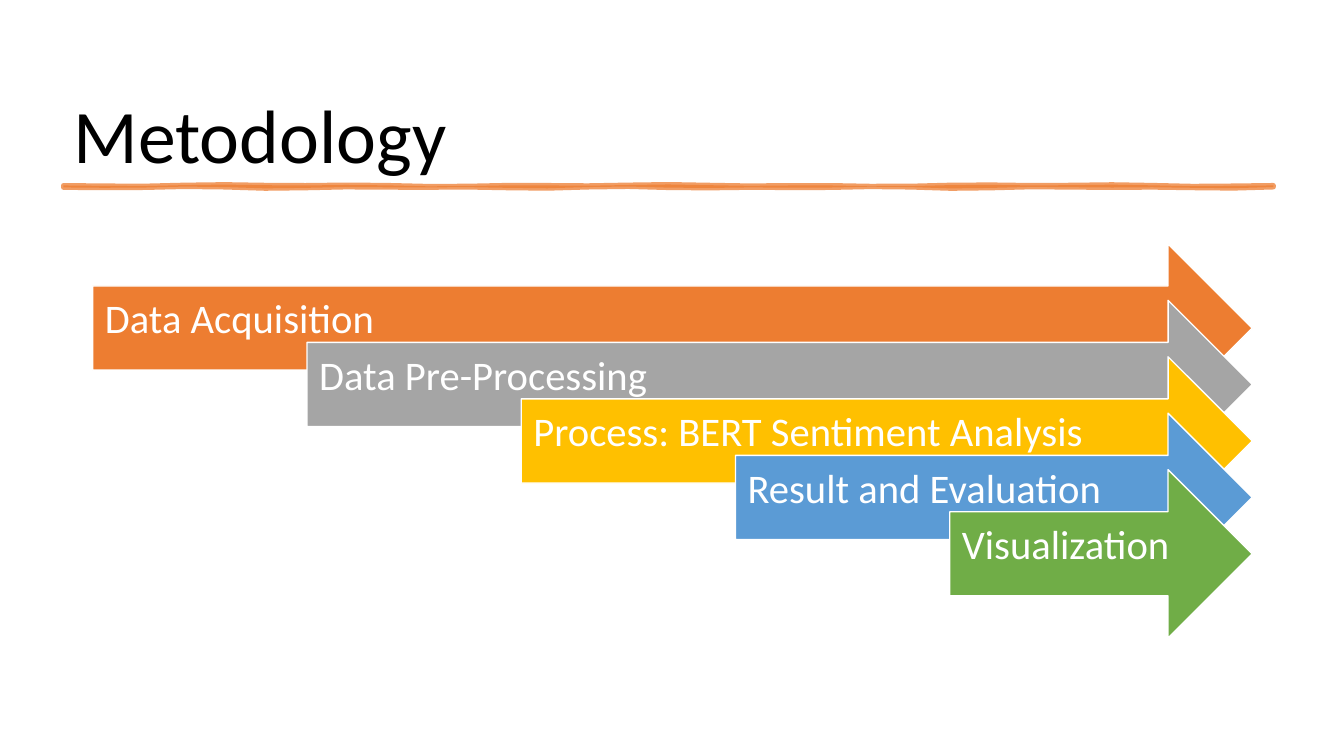
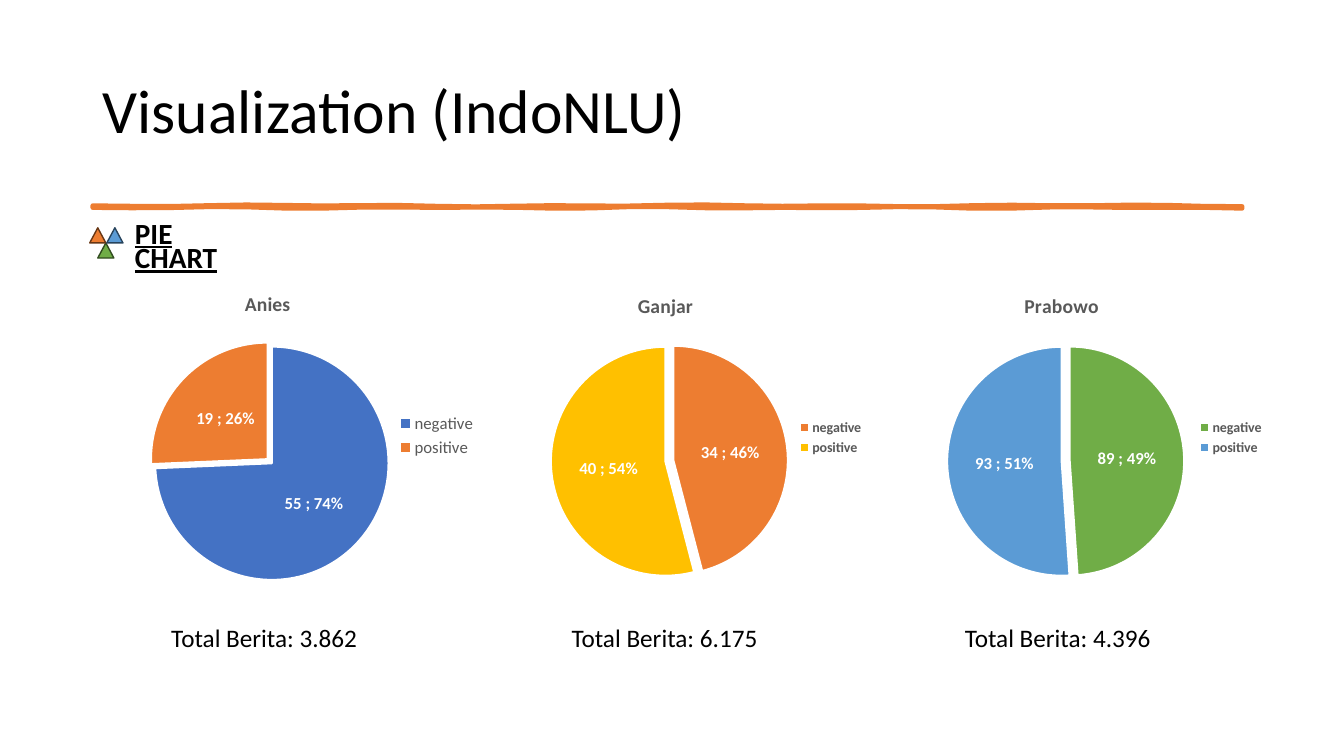
from math import sin

from lxml import etree
from pptx import Presentation
from pptx.chart.data import CategoryChartData
from pptx.dml.color import RGBColor
from pptx.enum.chart import XL_CHART_TYPE, XL_LABEL_POSITION, XL_LEGEND_POSITION
from pptx.enum.shapes import MSO_SHAPE
from pptx.enum.text import MSO_ANCHOR, MSO_AUTO_SIZE, PP_ALIGN
from pptx.oxml.ns import qn
from pptx.util import Inches, Pt

PIE = XL_CHART_TYPE.PIE
CENTER = XL_LABEL_POSITION.CENTER
LEGEND_RIGHT = XL_LEGEND_POSITION.RIGHT
RIGHT_ARROW = MSO_SHAPE.RIGHT_ARROW
TRIANGLE = MSO_SHAPE.ISOSCELES_TRIANGLE
MIDDLE, BOTTOM, TOP = MSO_ANCHOR.MIDDLE, MSO_ANCHOR.BOTTOM, MSO_ANCHOR.TOP
LEFT = PP_ALIGN.LEFT
NO_AUTOFIT = MSO_AUTO_SIZE.NONE

FONT = "Calibri"
BLACK, WHITE, GREY_TEXT = "000000", "FFFFFF", "595959"
ORANGE, GREY, GOLD = "ED7D31", "A5A5A5", "FFC000"
BLUE, GREEN, NAVY = "5B9BD5", "70AD47", "4472C4"
TITLE_ONLY = 5


def rgb(value):
    """Turn a hex string into a colour."""
    return RGBColor.from_string(value)


def style_font(font, size, color, bold=False):
    """Set the face, size, colour and weight of a font."""
    font.name = FONT
    font.size = Pt(size)
    font.bold = bold
    font.color.rgb = rgb(color)


def paint(shape, fill, line, width):
    """Give a shape a flat fill and outline."""
    shape.shadow.inherit = False
    shape.fill.solid()
    shape.fill.fore_color.rgb = rgb(fill)
    shape.line.color.rgb = rgb(line)
    shape.line.width = Pt(width)


def write(shape, text, size, color, anchor=TOP, spacing=1.0, bold=False):
    """Write one left-aligned run into a shape and return it."""
    frame = shape.text_frame
    frame.word_wrap = True
    frame.auto_size = NO_AUTOFIT
    frame.vertical_anchor = anchor
    paragraph = frame.paragraphs[0]
    paragraph.alignment = LEFT
    paragraph.line_spacing = spacing
    run = paragraph.add_run()
    run.text = text
    style_font(run.font, size, color, bold)
    return run


def add_text(slide, box, text, size, **options):
    """Add a text box and return its run."""
    textbox = slide.shapes.add_textbox(*map(Inches, box))
    return write(textbox, text, size, BLACK, **options)


def add_titled_slide(presentation, title, box, size, anchor):
    """Add a slide with its title placeholder placed and styled."""
    slide = presentation.slides.add_slide(presentation.slide_layouts[TITLE_ONLY])
    placeholder = slide.shapes.title
    placeholder.left, placeholder.top, placeholder.width, placeholder.height = map(Inches, box)
    write(placeholder, title, size, BLACK, anchor, 0.9)
    return slide


def add_brush_rule(slide, left, top, width, line_width, opacity=100):
    """Draw a hand-brushed horizontal rule."""
    steps = 30
    offsets = [width * step / steps for step in range(steps + 1)]
    upper = [(left + x, top + 0.01 * sin(2.9 * x) * sin(1.3 * x)) for x in offsets]
    lower = [(left + x, top + 0.02 + 0.01 * sin(3.7 * x) * sin(0.9 * x)) for x in offsets]
    outline = [(Inches(x), Inches(y)) for x, y in upper + lower[::-1]]
    builder = slide.shapes.build_freeform(*outline[0])
    builder.add_line_segments(outline[1:], close=True)
    rule = builder.convert_to_shape()
    paint(rule, ORANGE, ORANGE, line_width)
    etree.SubElement(rule.line.fill._xPr, qn("a:round"))
    if opacity < 100:
        for color in rule.element.spPr.iter(qn("a:srgbClr")):
            etree.SubElement(color, qn("a:alpha"), val=str(opacity * 1000))


def add_arrow_cascade(slide, left, top, width, steps):
    """Stack arrows that start further right and share one right end."""
    indent, drop, height = 2.125, 0.56, 1.67
    for index, (label, color) in enumerate(steps):
        shift = index * indent
        box = (left + shift, top + index * drop, width - shift, height)
        arrow = slide.shapes.add_shape(RIGHT_ARROW, *map(Inches, box))
        paint(arrow, color, WHITE, 1)
        frame = arrow.text_frame
        frame.margin_left = frame.margin_top = Inches(0.12)
        frame.margin_right, frame.margin_bottom = Inches(0.28), Inches(0.27)
        write(arrow, label, 29, WHITE, MIDDLE, 0.9)


def add_section_label(slide, left, top, text):
    """Add a three-triangle marker with an underlined label."""
    triangles = [
        (0.08, 0.15, GREEN, "314C1F"),
        (0, 0, ORANGE, "683715"),
        (0.17, 0, BLUE, "28445D"),
    ]
    for dx, dy, fill, line in triangles:
        box = (left + dx, top + dy, 0.16, 0.15)
        triangle = slide.shapes.add_shape(TRIANGLE, *map(Inches, box))
        paint(triangle, fill, line, 1)
    box = (left + 0.35, top + 0.01, 1.4, 0.4)
    run = add_text(slide, box, text, 20.9, anchor=MIDDLE, spacing=0.7, bold=True)
    run.font.underline = True


def add_pie(slide, box, name, values, colors, legend_size, legend_bold, explosion):
    """Add a pie of two counts with the negative slice pulled out."""
    data = CategoryChartData(number_format="#,##0_-")
    data.categories = ["negative", "positive"]
    data.add_series(name, values)
    chart = slide.shapes.add_chart(PIE, *map(Inches, box), data).chart
    style_font(chart.font, 10, BLACK)

    chart.has_title = True
    run = chart.chart_title.text_frame.paragraphs[0].add_run()
    run.text = name
    style_font(run.font, 14, GREY_TEXT, True)

    chart.has_legend = True
    chart.legend.position = LEGEND_RIGHT
    chart.legend.include_in_layout = True
    style_font(chart.legend.font, legend_size, GREY_TEXT, legend_bold)

    plot = chart.plots[0]
    plot.vary_by_categories = True
    series = plot.series[0]
    for index, color in enumerate(colors):
        style = series.points[index].format
        style.fill.solid()
        style.fill.fore_color.rgb = rgb(color)
        style.line.color.rgb = rgb(WHITE)
        style.line.width = Pt(1.5)
    negative_style = series._element.find(qn("c:dPt")).find(qn("c:spPr"))
    negative_style.addprevious(etree.Element(qn("c:explosion"), val=str(explosion)))

    labels = series.data_labels
    labels.show_value = labels.show_percentage = True
    labels.position = CENTER
    style_font(labels.font, 12, WHITE, True)
    separator = etree.Element(qn("c:separator"))
    separator.text = "; "
    labels._element.find(qn("c:showBubbleSize")).addnext(separator)


def build_methodology(presentation):
    """Build the slide with the cascade of process steps."""
    slide = add_titled_slide(presentation, "Metodology", (0.63, 0.26, 12.05, 1.57), 54, BOTTOM)
    add_brush_rule(slide, 0.63, 1.84, 12, 3.5, 75)
    add_arrow_cascade(slide, 0.92, 2.42, 11.5, [
        ("Data Acquisition", ORANGE),
        ("Data Pre-Processing", GREY),
        ("Process: BERT Sentiment Analysis", GOLD),
        ("Result and Evaluation", BLUE),
        ("Visualization", GREEN),
    ])


def build_visualization(presentation):
    """Build the slide with three sentiment pies and their totals."""
    slide = add_titled_slide(
        presentation, "Visualization (IndoNLU)", (0.92, 0.4, 11.5, 1.45), 44, MIDDLE)
    add_brush_rule(slide, 0.92, 2.04, 11.4, 3.25)
    add_section_label(slide, 0.89, 2.26, "PIE CHART")
    pies = [
        ((0.48, 2.73, 4.35, 3.18), "Anies", (55, 19), (NAVY, ORANGE), 12, False, 5),
        ((4.53, 2.75, 4.14, 3.18), "Ganjar", (34, 40), (ORANGE, GOLD), 10, True, 7),
        ((8.42, 2.75, 4.22, 3.18), "Prabowo", (89, 93), (GREEN, BLUE), 10, True, 7),
    ]
    for pie in pies:
        add_pie(slide, *pie)
    for left, total in [(1.6, "3.862"), (5.57, "6.175"), (9.47, "4.396")]:
        add_text(slide, (left, 6.12, 2.12, 0.4), f"Total Berita: {total}", 18)


def main():
    """Build and save the presentation."""
    presentation = Presentation()
    presentation.slide_width = Inches(13.33)
    presentation.slide_height = Inches(7.5)
    build_methodology(presentation)
    build_visualization(presentation)
    presentation.save("out.pptx")


if __name__ == "__main__":
    main()
